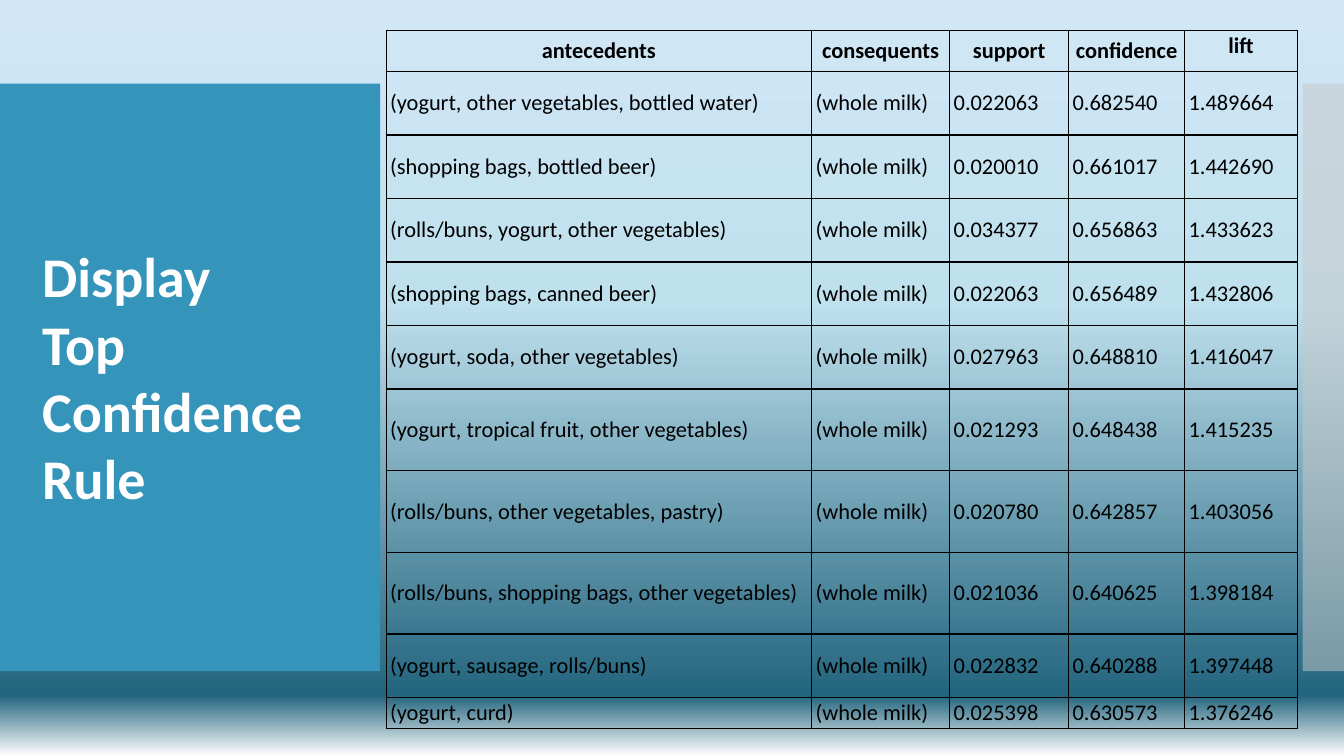
from dataclasses import dataclass

from lxml.etree import SubElement
from pptx import Presentation
from pptx.dml.color import RGBColor
from pptx.enum.shapes import MSO_SHAPE
from pptx.enum.text import MSO_ANCHOR, PP_ALIGN
from pptx.oxml import parse_xml
from pptx.oxml.ns import nsdecls, qn
from pptx.slide import Slide
from pptx.table import _Cell
from pptx.text.text import _Paragraph
from pptx.util import Emu, Pt

FONT = "Calibri"
BLACK, WHITE = "000000", "FFFFFF"


def px(length: int) -> Emu:
    """One px is a hundredth of an inch."""
    return Emu(length * 9144)


def color(hex_code: str) -> RGBColor:
    return RGBColor.from_string(hex_code)


@dataclass
class Band:
    left: int
    width: int
    fill: str
    opacity: int = 100


@dataclass
class Rule:
    antecedents: str
    support: str
    confidence: str
    lift: str
    height: int = 63
    consequents: str = "(whole milk)"

    def values(self) -> list[str]:
        return [self.antecedents, self.consequents, self.support,
                self.confidence, self.lift]


BACKGROUND_STOPS = [(0, "D1E7F6"), (40, "BFE0ED"), (92, "23657E"), (100, WHITE)]
BANDS = [Band(0, 377, "3494BA"), Band(1292, 41, "C8C8C8", 50)]
TITLE_LINES = ["Display", "Top Confidence Rule"]
COLUMN_WIDTHS = [422, 137, 118, 115, 112]
HEADINGS = ["antecedents", "consequents", "support", "confidence", "lift"]
HEADING_HEIGHT = 41
RULES = [
    Rule("(yogurt, other vegetables, bottled water)", "0.022063", "0.682540", "1.489664"),
    Rule("(shopping bags, bottled beer)", "0.020010", "0.661017", "1.442690"),
    Rule("(rolls/buns, yogurt, other vegetables)", "0.034377", "0.656863", "1.433623"),
    Rule("(shopping bags, canned beer)", "0.022063", "0.656489", "1.432806"),
    Rule("(yogurt, soda, other vegetables)", "0.027963", "0.648810", "1.416047"),
    Rule("(yogurt, tropical fruit, other vegetables)", "0.021293", "0.648438", "1.415235", 81),
    Rule("(rolls/buns, other vegetables, pastry)", "0.020780", "0.642857", "1.403056", 81),
    Rule("(rolls/buns, shopping bags, other vegetables)", "0.021036", "0.640625", "1.398184", 81),
    Rule("(yogurt, sausage, rolls/buns)", "0.022832", "0.640288", "1.397448"),
    Rule("(yogurt, curd)", "0.025398", "0.630573", "1.376246", 25),
]


def paint_background(slide: Slide) -> None:
    fill = slide.background.fill
    fill.gradient()
    fill.gradient_angle = 270
    stops = slide.element.find(".//" + qn("a:gsLst"))
    for stop in list(stops):
        stops.remove(stop)
    for position, hex_code in BACKGROUND_STOPS:
        stop = SubElement(stops, qn("a:gs"), pos=str(position * 1000))
        SubElement(stop, qn("a:srgbClr"), val=hex_code)


def draw_band(slide: Slide, band: Band) -> None:
    shape = slide.shapes.add_shape(
        MSO_SHAPE.RECTANGLE, px(band.left), px(83), px(band.width), px(583))
    shape.shadow.inherit = False
    shape.line.fill.background()
    shape.fill.solid()
    shape.fill.fore_color.rgb = color(band.fill)
    if band.opacity < 100:
        fill_color = shape.element.spPr.find(".//" + qn("a:srgbClr"))
        SubElement(fill_color, qn("a:alpha"), val=str(band.opacity * 1000))


def add_text(paragraph: _Paragraph, text: str, size: int, hex_code: str, bold: bool) -> None:
    run = paragraph.add_run()
    run.text = text
    run.font.name = FONT
    run.font.size = Pt(size)
    run.font.bold = bold
    run.font.color.rgb = color(hex_code)


def fill_cell(cell: _Cell, text: str, heading: bool) -> None:
    cell.fill.background()
    cell.margin_left = cell.margin_right = px(4)
    cell.margin_top = cell.margin_bottom = px(2)
    # The lift heading alone stays at the top of its cell
    cell.vertical_anchor = MSO_ANCHOR.TOP if text == "lift" else MSO_ANCHOR.MIDDLE
    paragraph = cell.text_frame.paragraphs[0]
    paragraph.alignment = PP_ALIGN.CENTER if heading else PP_ALIGN.LEFT
    add_text(paragraph, text, 16, BLACK, heading)
    properties = cell._tc.get_or_add_tcPr()
    for index, side in enumerate(("lnL", "lnR", "lnT", "lnB")):
        properties.insert(index, parse_xml(
            f'<a:{side} {nsdecls("a")} w="{Pt(1)}"><a:solidFill>'
            f'<a:srgbClr val="{BLACK}"/></a:solidFill></a:{side}>'))


def draw_rules(slide: Slide) -> None:
    heights = [HEADING_HEIGHT] + [rule.height for rule in RULES]
    rows = [HEADINGS] + [rule.values() for rule in RULES]
    table = slide.shapes.add_table(
        len(rows), len(HEADINGS), px(383), px(30),
        px(sum(COLUMN_WIDTHS)), px(sum(heights))).table
    table.first_row = table.horz_banding = False
    for column, width in zip(table.columns, COLUMN_WIDTHS):
        column.width = px(width)
    for row_index, (height, values) in enumerate(zip(heights, rows)):
        table.rows[row_index].height = px(height)
        for column_index, value in enumerate(values):
            fill_cell(table.cell(row_index, column_index), value, row_index == 0)


def draw_title(slide: Slide) -> None:
    title = slide.shapes.add_textbox(px(32), px(235), px(314), px(279)).text_frame
    title.word_wrap = True
    for index, line in enumerate(TITLE_LINES):
        paragraph = title.add_paragraph() if index else title.paragraphs[0]
        add_text(paragraph, line, 40, WHITE, True)


def main() -> None:
    presentation = Presentation()
    presentation.slide_width, presentation.slide_height = px(1333), px(750)
    slide = presentation.slides.add_slide(presentation.slide_layouts[6])
    # Backdrop
    paint_background(slide)
    for band in BANDS:
        draw_band(slide, band)
    # Content
    draw_rules(slide)
    draw_title(slide)
    presentation.save("out.pptx")


if __name__ == "__main__":
    main()
